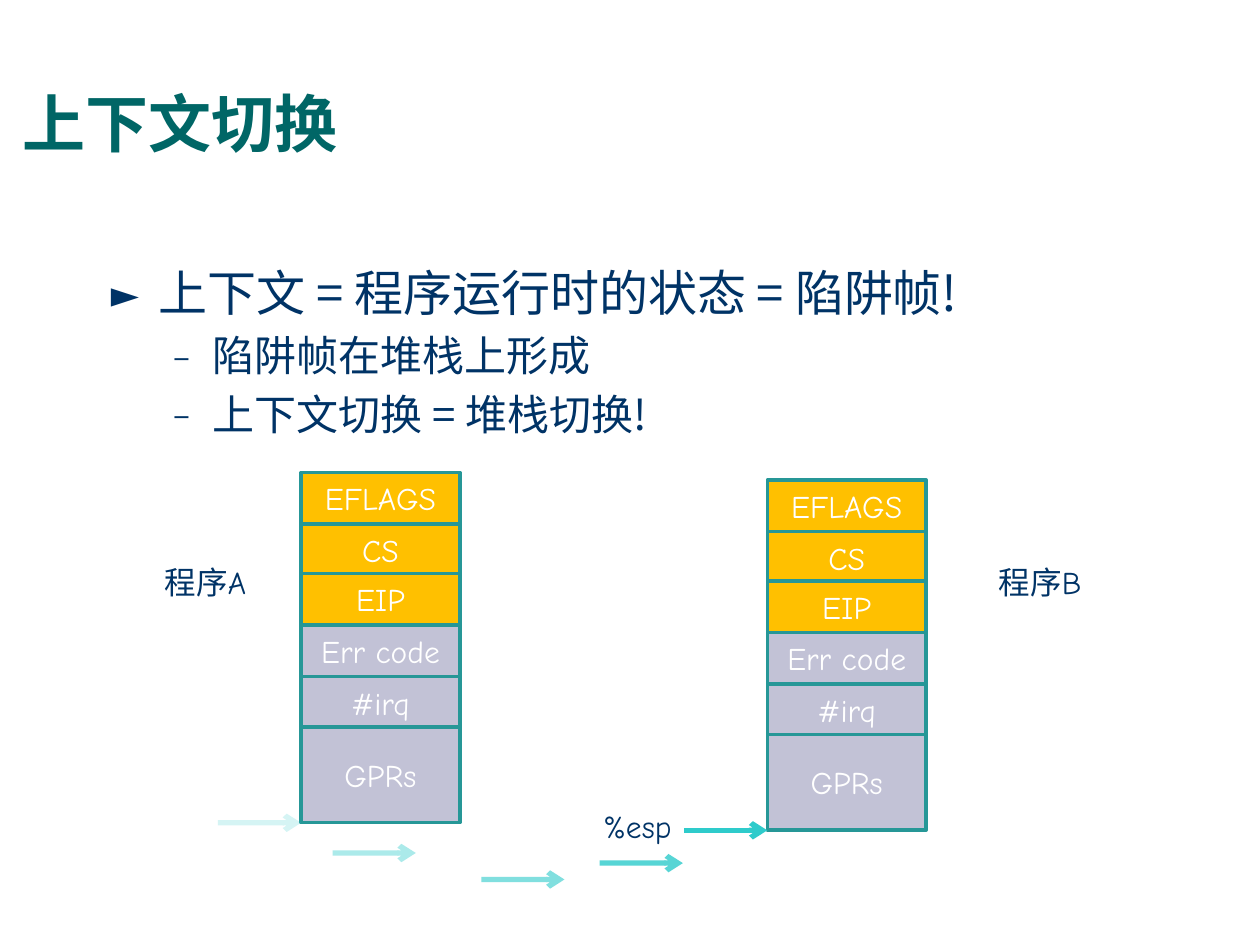
from dataclasses import dataclass

from lxml import etree
from pptx import Presentation
from pptx import util as u
from pptx.dml.color import RGBColor
from pptx.enum import shapes, text
from pptx.oxml import ns

LATIN, CHINESE = "Comic Neue", "Noto Sans CJK SC"
NAVY, GREEN, TEAL, AQUA = "003366", "006666", "269797", "2ECBCB"
GOLD, LILAC, WHITE = "FFC000", "C2C2D6", "FFFFFF"
CELL_WIDTH, CELL_HEIGHT = 1.26, 0.41
ARROW_LENGTH = 0.66


@dataclass
class Cell:
    """One field of a trap frame, placed relative to the frame's top."""
    label: str
    offset: float
    fill: str
    height: float = CELL_HEIGHT


@dataclass
class Arrow:
    """One position of the stack pointer; opacity is a percentage."""
    left: float
    top: float
    opacity: int


@dataclass
class Label:
    """A free-standing caption."""
    words: str
    left: float
    top: float
    width: float


@dataclass
class Bullet:
    """One list item with its level, bullet sign and indent."""
    words: str
    level: int
    size: int
    sign: str
    margin: float
    hanging: float


FRAME = [
    Cell("EFLAGS", 0, GOLD),
    Cell("CS", 0.41, GOLD),
    Cell("EIP", 0.8, GOLD),
    Cell("Err code", 1.21, LILAC),
    Cell("#irq", 1.62, LILAC),
    Cell("GPRs", 2.02, LILAC, 0.76),
]
FRAME_CORNERS = [(2.39, 3.75), (6.09, 3.81)]
ARROWS = [
    Arrow(1.73, 6.53, 20),
    Arrow(2.64, 6.77, 40),
    Arrow(3.82, 6.98, 60),
    Arrow(4.76, 6.85, 80),
    Arrow(5.43, 6.59, 100),
]
LABELS = [
    Label("%esp", 4.69, 6.36, 0.94),
    Label("程序A", 1.21, 4.42, 1.02),
    Label("程序B", 7.83, 4.42, 1.02),
]
BULLETS = [
    Bullet("上下文 = 程序运行时的状态 = 陷阱帧!".replace("!", "!"), 0, 28, "►", 0.38, 0.38),
    Bullet("陷阱帧在堆栈上形成", 1, 24, "–", 0.81, 0.31),
    Bullet("上下文切换 = 堆栈切换!", 1, 24, "–", 0.81, 0.31),
]


def rgb(value: str) -> RGBColor:
    """Turn a hex string into a colour."""
    return RGBColor.from_string(value)


def add_child(parent, tag: str, **attributes: str):
    """Append a drawing element to a parent element."""
    return etree.SubElement(parent, ns.qn(tag), attributes)


def place(box, left: float, top: float, width: float, height: float) -> None:
    """Set a box's position and size in inches."""
    box.left, box.top = u.Inches(left), u.Inches(top)
    box.width, box.height = u.Inches(width), u.Inches(height)


def add_span(para, words: str, size: int, color: str, font: str = LATIN,
             bold: bool = False) -> None:
    """Add a formatted run; Chinese characters use the Chinese font."""
    span = para.add_run()
    span.text = words
    span.font.size = u.Pt(size)
    span.font.name = font
    span.font.bold = bold
    span.font.color.rgb = rgb(color)
    add_child(span.font._element, "a:ea", typeface=CHINESE)


def fill_title(box) -> None:
    """Move the title placeholder and write the heading."""
    place(box, 0.08, 0.08, 8.67, 1.25)
    box.text_frame.vertical_anchor = text.MSO_ANCHOR.BOTTOM
    box.text_frame.auto_size = text.MSO_AUTO_SIZE.NONE
    para = box.text_frame.paragraphs[0]
    para.alignment = text.PP_ALIGN.LEFT
    para.line_spacing = 0.9
    add_span(para, "上下文切换", 36, GREEN, CHINESE, True)


def fill_body(box) -> None:
    """Move the body placeholder and write the bulleted list."""
    place(box, 0.78, 2.03, 9.02, 5.26)
    frame = box.text_frame
    frame.auto_size = text.MSO_AUTO_SIZE.NONE
    for index, bullet in enumerate(BULLETS):
        para = frame.add_paragraph() if index else frame.paragraphs[0]
        para.level = bullet.level
        props = para._p.get_or_add_pPr()
        props.set("marL", str(u.Inches(bullet.margin)))
        props.set("indent", str(-u.Inches(bullet.hanging)))
        color = add_child(props, "a:buClr")
        add_child(color, "a:srgbClr", val=NAVY)
        add_child(props, "a:buSzPct", val="75000")
        add_child(props, "a:buFont", typeface=CHINESE)
        add_child(props, "a:buChar", char=bullet.sign)
        add_span(para, bullet.words, bullet.size, NAVY, CHINESE)


def draw_cell(page, cell: Cell, left: float, top: float) -> None:
    """Draw one field of a frame whose top left corner is given."""
    box = page.shapes.add_shape(
        shapes.MSO_SHAPE.RECTANGLE, u.Inches(left), u.Inches(top + cell.offset),
        u.Inches(CELL_WIDTH), u.Inches(cell.height))
    box.shadow.inherit = False
    box.fill.solid()
    box.fill.fore_color.rgb = rgb(cell.fill)
    box.line.color.rgb = rgb(TEAL)
    box.line.width = u.Pt(2)
    box.text_frame.vertical_anchor = text.MSO_ANCHOR.MIDDLE
    para = box.text_frame.paragraphs[0]
    para.alignment = text.PP_ALIGN.CENTER
    add_span(para, cell.label, 18, WHITE)


def draw_arrow(page, arrow: Arrow) -> None:
    """Draw a horizontal arrow with its opacity."""
    top = u.Inches(arrow.top)
    line = page.shapes.add_connector(
        shapes.MSO_CONNECTOR.STRAIGHT, u.Inches(arrow.left), top,
        u.Inches(arrow.left + ARROW_LENGTH), top)
    line.line.color.rgb = rgb(AQUA)
    line.line.width = u.Pt(3)
    outline = line.line._get_or_add_ln()
    if arrow.opacity < 100:
        color = outline.find(".//" + ns.qn("a:srgbClr"))
        add_child(color, "a:alpha", val=str(arrow.opacity * 1000))
    add_child(outline, "a:tailEnd", type="arrow")
    add_child(line._element.spPr, "a:effectLst")


def draw_label(page, label: Label) -> None:
    """Write a caption."""
    box = page.shapes.add_textbox(u.Inches(label.left), u.Inches(label.top),
                                  u.Inches(label.width), u.Inches(0.4))
    box.text_frame.word_wrap = True
    box.text_frame.auto_size = text.MSO_AUTO_SIZE.SHAPE_TO_FIT_TEXT
    add_span(box.text_frame.paragraphs[0], label.words, 18, NAVY)


def main() -> None:
    """Build and save the deck."""
    deck = Presentation()
    deck.slide_width, deck.slide_height = u.Inches(10), u.Inches(7.5)
    page = deck.slides.add_slide(deck.slide_layouts[1])
    fill_title(page.shapes.title)
    fill_body(page.placeholders[1])
    for left, top in FRAME_CORNERS:
        for cell in FRAME:
            draw_cell(page, cell, left, top)
    for arrow in ARROWS:
        draw_arrow(page, arrow)
    for label in LABELS:
        draw_label(page, label)
    deck.save("out.pptx")


main()
